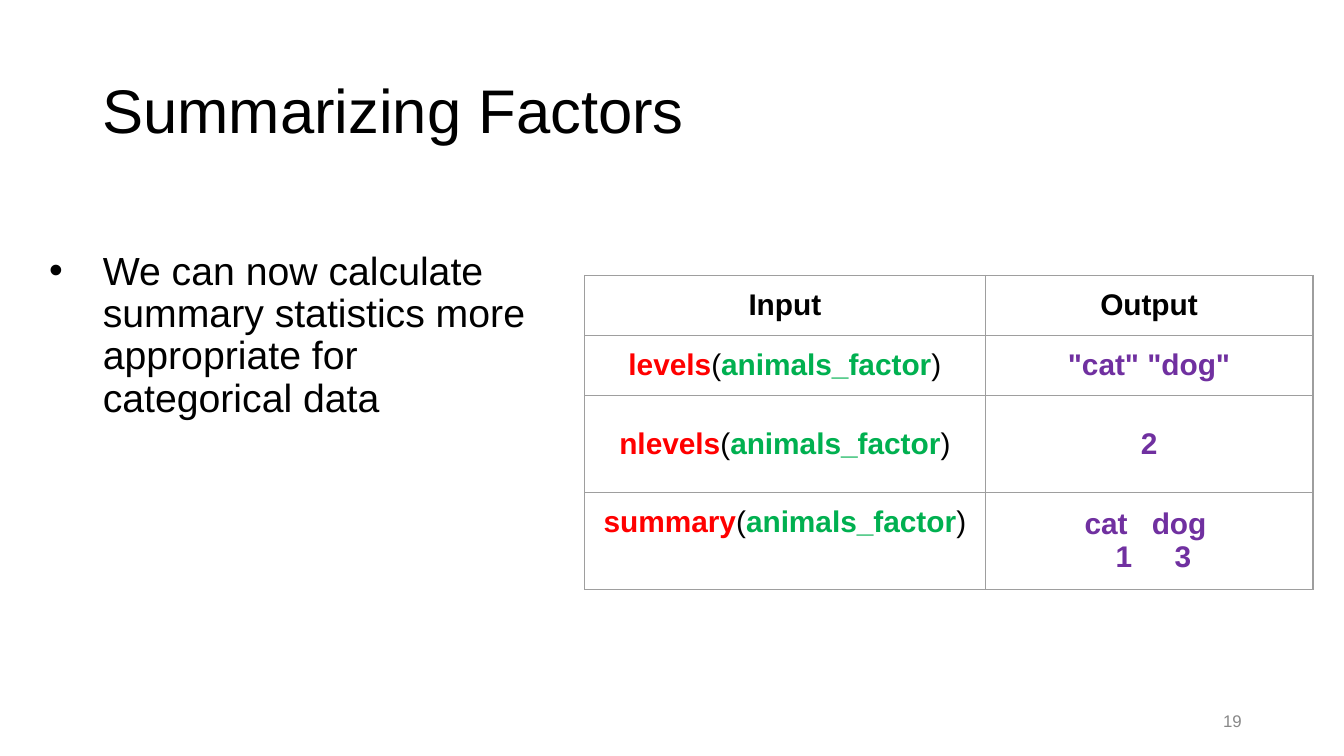
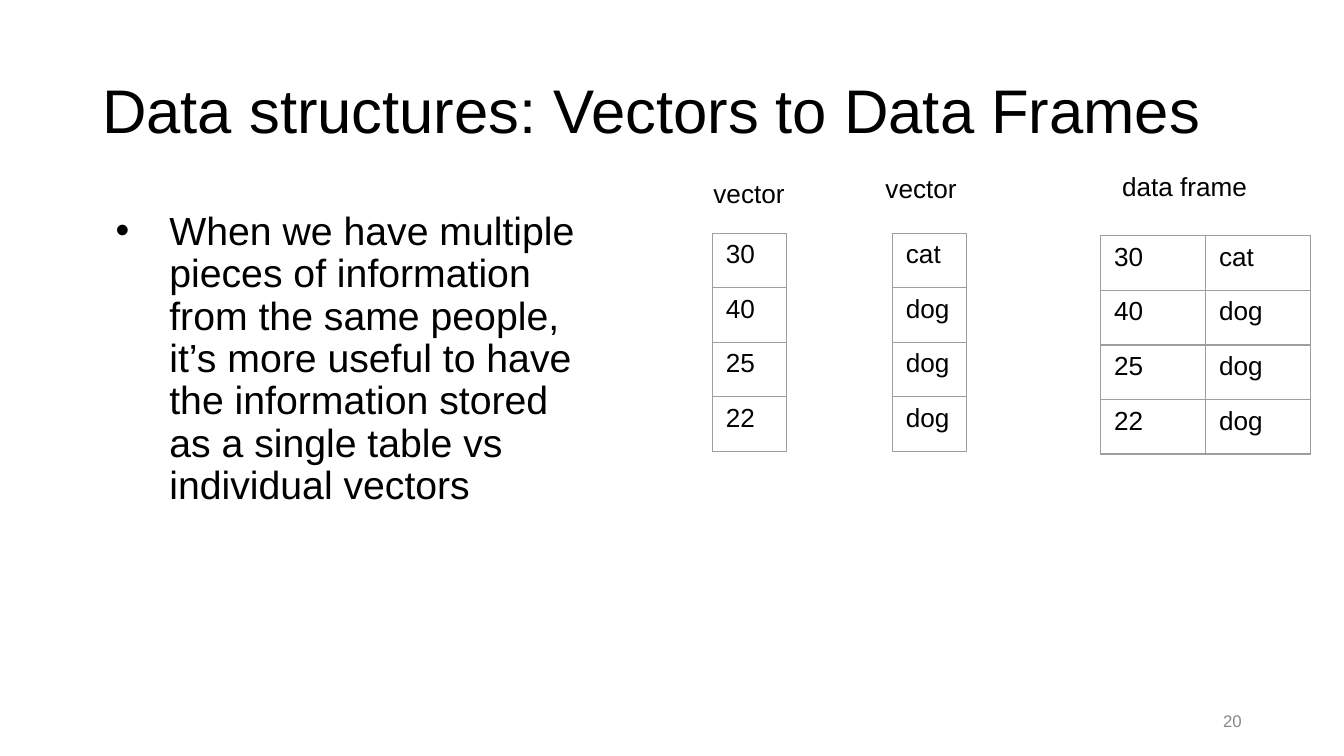
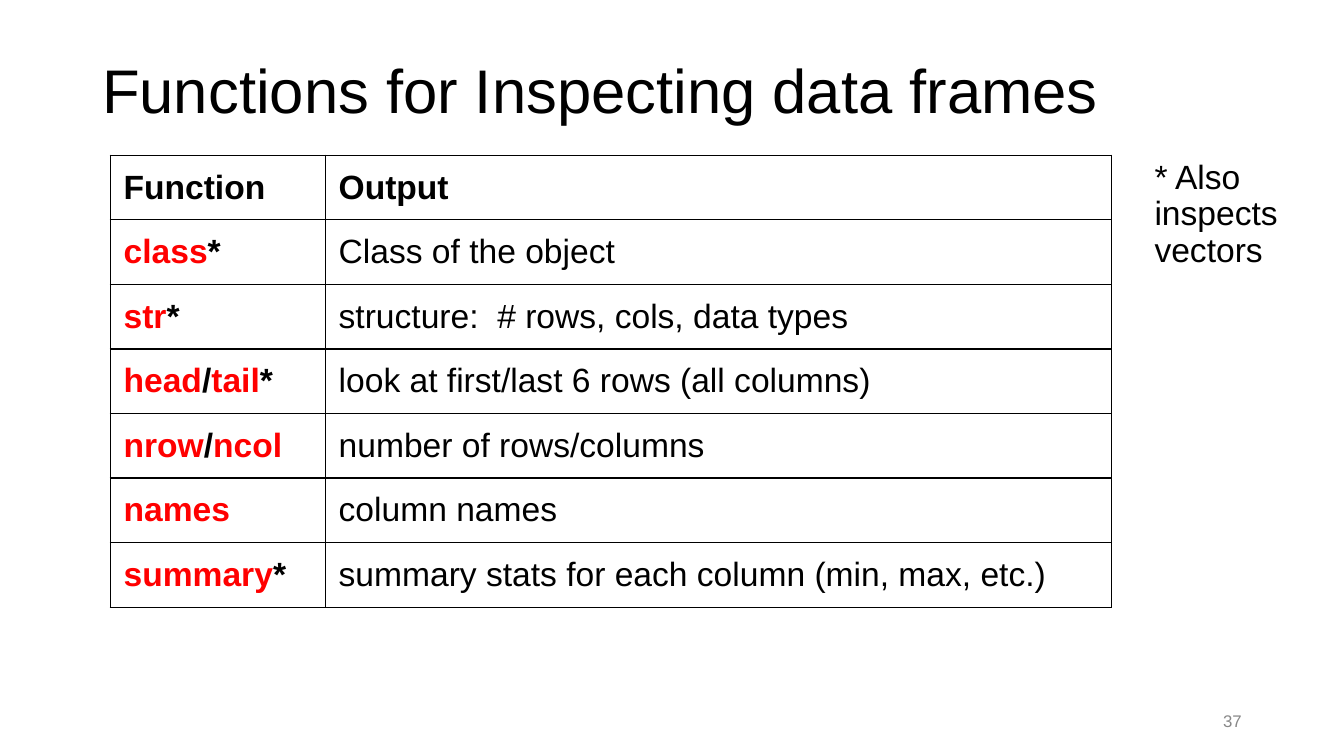
from lxml.etree import SubElement
from pptx import Presentation
from pptx.dml.color import RGBColor
from pptx.enum.text import MSO_ANCHOR, MSO_AUTO_SIZE, PP_ALIGN
from pptx.oxml.ns import qn
from pptx.util import Emu, Inches, Pt

# Shared look
FONT = "Arial"
BLACK, GRAY, BORDER_GRAY = "000000", "888888", "9E9E9E"
RED, GREEN, PURPLE = "FF0000", "00B050", "7030A0"
SLIDE_WIDTH = Inches(10)
SLIDE_HEIGHT = Emu(SLIDE_WIDTH * 9 // 16)
COLUMN = SLIDE_WIDTH / 100  # square grid, 100 columns across the slide


def grid(columns):
    return Emu(round(columns * COLUMN))


def color(hex_string):
    return RGBColor.from_string(hex_string)


def place(shape, box):
    shape.left, shape.top, shape.width, shape.height = map(grid, box)


def add_runs(paragraph, runs, size):
    """Each run is (text, colour, bold)."""
    for text, hex_string, is_bold in runs:
        run = paragraph.add_run()
        run.text = text
        run.font.name, run.font.size, run.font.bold = FONT, Pt(size), is_bold
        run.font.color.rgb = color(hex_string)


def plain(text, hex_string=BLACK):
    return [(text, hex_string, False)]


def bold(text, hex_string=BLACK):
    return [(text, hex_string, True)]


def set_frame(frame, side, end, anchor, wrap=True):
    frame.word_wrap = wrap
    frame.auto_size = MSO_AUTO_SIZE.NONE
    frame.margin_left = frame.margin_right = grid(side)
    frame.margin_top = frame.margin_bottom = grid(end)
    frame.vertical_anchor = anchor


# Placeholders
def fill_placeholder(shape, box, text, size, anchor, end):
    place(shape, box)
    set_frame(shape.text_frame, 0.7, end, anchor)
    paragraph = shape.text_frame.paragraphs[0]
    paragraph.alignment, paragraph.line_spacing = PP_ALIGN.LEFT, 0.9
    add_runs(paragraph, plain(text), size)
    return paragraph


def set_bullet(paragraph, bulleted):
    properties = paragraph._p.get_or_add_pPr()
    properties.set("marL", str(grid(5 if bulleted else 0)))
    properties.set("indent", str(grid(-4 if bulleted else 0)))
    if bulleted:
        bullet_color = SubElement(properties, qn("a:buClr"))
        SubElement(bullet_color, qn("a:srgbClr"), val=BLACK)
        SubElement(properties, qn("a:buFont"), typeface=FONT)
        SubElement(properties, qn("a:buChar"), char="•")
    else:
        SubElement(properties, qn("a:buNone"))


def add_body(slide, box, text, size=21, bulleted=True, end=0.7):
    paragraph = fill_placeholder(slide.placeholders[1], box, text, size,
                                 MSO_ANCHOR.TOP, end)
    paragraph.space_before = Pt(8)
    set_bullet(paragraph, bulleted)


def add_page(presentation, title, number, title_top=3):
    slide = presentation.slides.add_slide(presentation.slide_layouts[1])
    fill_placeholder(slide.shapes.title, (6.9, title_top, 86.2, 10.9), title,
                     33, MSO_ANCHOR.MIDDLE, 0.7)
    # Page number
    footer = slide.shapes.add_textbox(*map(grid, (70.6, 52.15, 22.5, 3)))
    set_frame(footer.text_frame, 0.7, 0.4, MSO_ANCHOR.MIDDLE)
    paragraph = footer.text_frame.paragraphs[0]
    paragraph.alignment = PP_ALIGN.RIGHT
    add_runs(paragraph, plain(str(number), GRAY), 9)
    return slide


def add_label(slide, box, text, wrap=False):
    label = slide.shapes.add_textbox(*map(grid, box))
    set_frame(label.text_frame, 1, 0.5, MSO_ANCHOR.TOP, wrap)
    label.text_frame.auto_size = MSO_AUTO_SIZE.SHAPE_TO_FIT_TEXT
    add_runs(label.text_frame.paragraphs[0], plain(text), 14)


# Tables
def set_borders(cell, hex_string):
    properties = cell._tc.get_or_add_tcPr()
    for side in ("lnL", "lnR", "lnT", "lnB"):
        line = SubElement(properties, qn(f"a:{side}"), w=str(Pt(0.75)))
        fill = SubElement(line, qn("a:solidFill"))
        SubElement(fill, qn("a:srgbClr"), val=hex_string)


def add_table(slide, corner, widths, heights, rows, size, border=BORDER_GRAY,
              end=1, anchor=MSO_ANCHOR.TOP, alignment=PP_ALIGN.LEFT):
    """Each cell is a list of runs."""
    box = (*corner, sum(widths), sum(heights))
    table = slide.shapes.add_table(len(rows), len(widths), *map(grid, box)).table
    table.first_row = table.horz_banding = False
    for column, width in zip(table.columns, widths):
        column.width = grid(width)
    for row, height, contents in zip(table.rows, heights, rows):
        row.height = grid(height)
        for cell, runs in zip(row.cells, contents):
            set_borders(cell, border)
            cell.fill.background()
            cell.vertical_anchor = anchor
            cell.margin_left = cell.margin_right = grid(1)
            cell.margin_top = cell.margin_bottom = grid(end)
            paragraph = cell.text_frame.paragraphs[0]
            paragraph.alignment = alignment
            add_runs(paragraph, runs, size)
    return table


def add_tabbed_line(paragraph, words, stops, size):
    paragraph.alignment = PP_ALIGN.LEFT
    tab_list = SubElement(paragraph._p.get_or_add_pPr(), qn("a:tabLst"))
    for stop in stops:
        SubElement(tab_list, qn("a:tab"), pos=str(grid(stop)), algn="l")
    add_runs(paragraph, bold("\t" + "\t".join(words), PURPLE), size)


# Slides
def build_factors(presentation):
    slide = add_page(presentation, "Summarizing Factors", 19)
    add_body(slide, (1.95, 18, 39.7, 32.7),
             "We can now calculate summary statistics more appropriate for "
             "categorical data")

    def call(function):
        return (bold(function, RED) + plain("(")
                + bold("animals_factor", GREEN) + plain(")"))

    rows = [
        (bold("Input"), bold("Output")),
        (call("levels"), bold('"cat" "dog"', PURPLE)),
        (call("nlevels"), bold("2", PURPLE)),
        (call("summary"), []),
    ]
    table = add_table(slide, (43.5, 20.5), (29.8, 24.4), (4.46, 4.46, 7.2, 7.2),
                      rows, 16, anchor=MSO_ANCHOR.MIDDLE,
                      alignment=PP_ALIGN.CENTER)
    # Counts printed under the level names
    table.cell(3, 0).vertical_anchor = MSO_ANCHOR.TOP
    frame = table.cell(3, 1).text_frame
    add_tabbed_line(frame.paragraphs[0], ("cat", "dog"), (6.4, 11.4), 16)
    add_tabbed_line(frame.add_paragraph(), ("1", "3"), (8.7, 13.1), 16)


def build_data_frames(presentation):
    slide = add_page(presentation, "Data structures: Vectors to Data Frames", 20)
    add_body(slide, (6.9, 15.05, 37.4, 37.2),
             "When we have multiple pieces of information from the same people, "
             "it’s more useful to have the information stored as a single table "
             "vs individual vectors")

    ages = [plain(age) for age in ("30", "40", "25", "22")]
    animals = [plain(animal) for animal in ("cat", "dog", "dog", "dog")]
    structures = [
        ((53, 17.35), (5.5,), list(zip(ages))),
        ((66.4, 17.35), (5.5,), list(zip(animals))),
        ((81.9, 17.55), (7.8, 7.8), list(zip(ages, animals))),
    ]
    for corner, widths, rows in structures:
        add_table(slide, corner, widths, [4.06] * len(rows), rows, 14, end=0.5)

    add_label(slide, (52.1, 12.7, 7.3, 3.4), "vector")
    add_label(slide, (64.9, 12.35, 7.3, 3.4), "vector")
    add_label(slide, (82.5, 12.2, 19.2, 3.4), "data frame", wrap=True)


def build_functions(presentation):
    slide = add_page(presentation, "Functions for Inspecting data frames", 37,
                     title_top=1.5)
    add_body(slide, (85.2, 11.55, 11.2, 10.9), "* Also inspects vectors",
             size=18, bulleted=False, end=0.4)

    star, slash = bold("*"), bold("/")
    rows = [
        (bold("Function"), bold("Output")),
        (bold("class", RED) + star, plain("Class of the object")),
        (bold("str", RED) + star, plain("structure:  # rows, cols, data types")),
        (bold("head", RED) + slash + bold("tail", RED) + star,
         plain("look at first/last 6 rows (all columns)")),
        (bold("nrow", RED) + slash + bold("ncol", RED),
         plain("number of rows/columns")),
        (bold("names", RED), plain("column names")),
        (bold("summary", RED) + star,
         plain("summary stats for each column (min, max, etc.)")),
    ]
    add_table(slide, (8.2, 11.55), (16, 58.5), [4.79] * len(rows), rows, 18,
              border=BLACK)


def main():
    presentation = Presentation()
    presentation.slide_width = SLIDE_WIDTH
    presentation.slide_height = SLIDE_HEIGHT
    build_factors(presentation)
    build_data_frames(presentation)
    build_functions(presentation)
    presentation.save("out.pptx")


if __name__ == "__main__":
    main()
